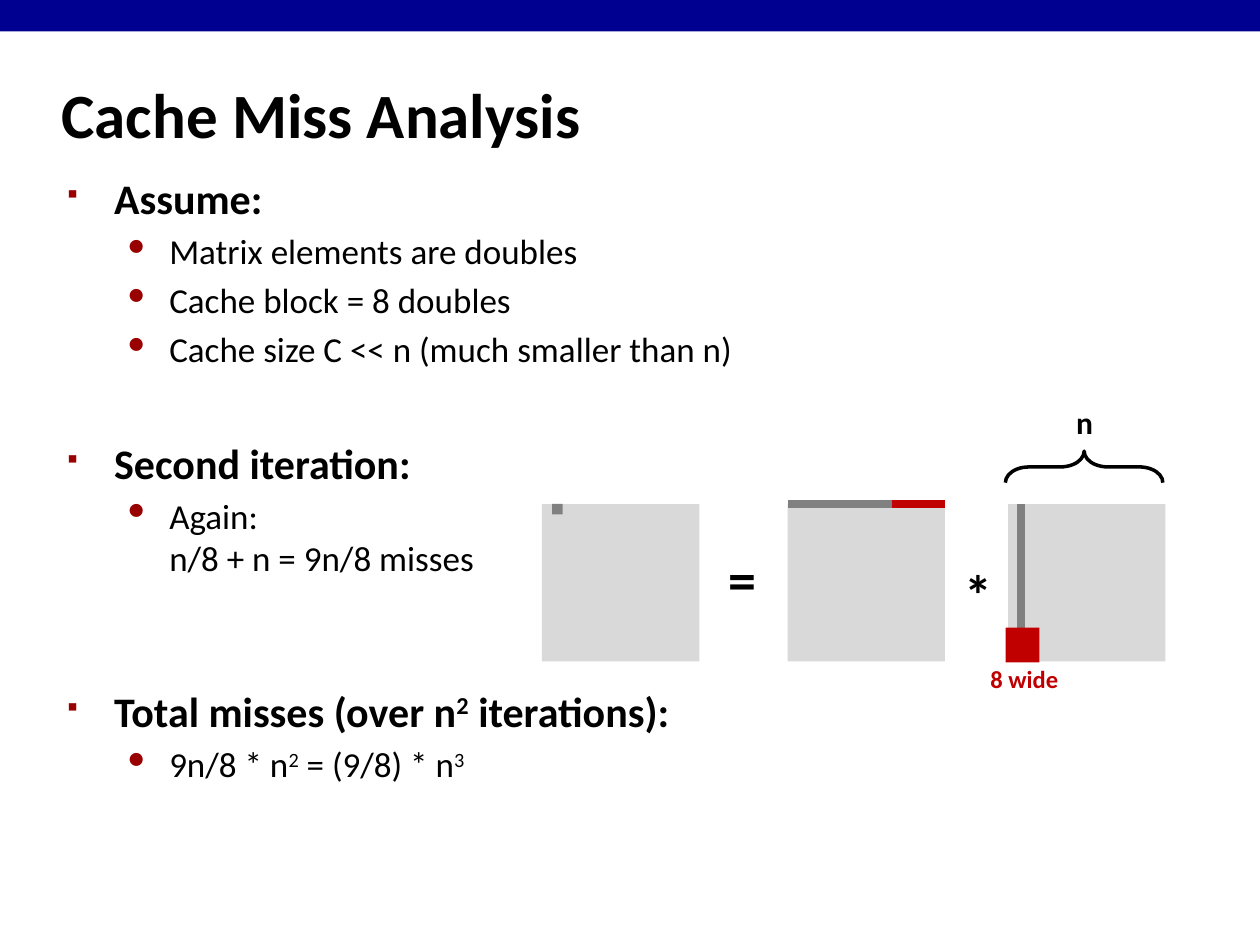
from dataclasses import dataclass

from lxml.etree import SubElement
from pptx import Presentation
from pptx.dml.color import RGBColor
from pptx.enum.shapes import MSO_CONNECTOR as Connector, MSO_SHAPE as Preset
from pptx.enum.text import MSO_ANCHOR as Anchor, MSO_AUTO_SIZE as AutoSize, PP_ALIGN as Align
from pptx.oxml.ns import qn
from pptx.util import Pt

BLACK = RGBColor(0x00, 0x00, 0x00)
NAVY = RGBColor(0x00, 0x00, 0x90)
BULLET_RED = RGBColor(0x99, 0x00, 0x00)
MISS_RED = RGBColor(0xC0, 0x00, 0x00)
HIT_GRAY = RGBColor(0x80, 0x80, 0x80)
MATRIX_GRAY = RGBColor(0xD9, 0xD9, 0xD9)
FONT = "Calibri"
MATRIX_SIZE = 90
MATRIX_TOP = 288


@dataclass(frozen=True)
class BulletStyle:
    size: float
    bold: bool
    margin: float
    indent: float
    symbol: str
    percent: int


@dataclass(frozen=True)
class Item:
    level: int
    text: str
    space_before: float


@dataclass(frozen=True)
class Block:
    left: float
    top: float
    width: float
    height: float
    color: RGBColor


@dataclass(frozen=True)
class Strip:
    start: tuple[float, float]
    end: tuple[float, float]
    color: RGBColor


@dataclass(frozen=True)
class Label:
    text: str
    left: float
    top: float
    width: float
    height: float
    size: float
    color: RGBColor = BLACK


STYLES = (
    BulletStyle(24, True, 27, -27, "■", 60),
    BulletStyle(20, False, 58.5, -22.5, "▪", 110),
)
ITEMS = (
    Item(0, "Assume:", 0),
    Item(1, "Matrix elements are doubles", 4),
    Item(1, "Cache block = 8 doubles", 4),
    Item(1, "Cache size C << n (much smaller than n)", 4),
    Item(0, "Second iteration:", 38.5),
    Item(1, "Again:\nn/8 + n = 9n/8 misses", 4),
    Item(0, "Total misses (over n^2^ iterations):", 61),
    Item(1, "9n/8 * n^2^ = (9/8) * n^3^", 4),
)
RESULT_LEFT, ROW_LEFT, COLUMN_LEFT = 309.6, 450, 576
MATRICES = tuple(
    Block(left, MATRIX_TOP, MATRIX_SIZE, MATRIX_SIZE, MATRIX_GRAY)
    for left in (RESULT_LEFT, ROW_LEFT, COLUMN_LEFT)
)
STRIPS = (
    Strip((ROW_LEFT, MATRIX_TOP), (ROW_LEFT + MATRIX_SIZE, MATRIX_TOP), HIT_GRAY),
    Strip((583.2, MATRIX_TOP), (583.2, MATRIX_TOP + MATRIX_SIZE), HIT_GRAY),
    Strip((510, MATRIX_TOP), (ROW_LEFT + MATRIX_SIZE, MATRIX_TOP), MISS_RED),
)
MARKS = (
    Block(315.5, MATRIX_TOP, 6, 6, HIT_GRAY),
    Block(574.6, 358.6, 19.4, 20, MISS_RED),
)
LABELS = (
    Label("n", 607.5, 229, 24.5, 28.8, 18),
    Label("*", 543.6, 320.4, 31, 46, 32),
    Label("=", 409, 311.8, 31, 46, 32),
    Label("8 wide", 558.7, 378, 53.3, 24.5, 14, MISS_RED),
)


def place(shape, left: float, top: float, width: float, height: float) -> None:
    shape.left, shape.top = Pt(left), Pt(top)
    shape.width, shape.height = Pt(width), Pt(height)


def set_font(paragraph, size: float, bold: bool, color: RGBColor = BLACK) -> None:
    font = paragraph.font
    font.name, font.size, font.bold = FONT, Pt(size), bold
    font.color.rgb = color


def set_bullet(paragraph, style: BulletStyle) -> None:
    properties = paragraph._p.get_or_add_pPr()
    properties.set("marL", str(Pt(style.margin)))
    properties.set("indent", str(Pt(style.indent)))
    color = SubElement(properties, qn("a:buClr"))
    SubElement(color, qn("a:srgbClr"), val=str(BULLET_RED))
    SubElement(properties, qn("a:buSzPct"), val=str(style.percent * 1000))
    SubElement(properties, qn("a:buFont"), typeface="Wingdings 2")
    SubElement(properties, qn("a:buChar"), char=style.symbol)


def add_item(paragraph, item: Item) -> None:
    style = STYLES[item.level]
    paragraph.level = item.level
    paragraph.space_before = Pt(item.space_before)
    set_bullet(paragraph, style)
    set_font(paragraph, style.size, style.bold)
    for line_number, line in enumerate(item.text.split("\n")):
        if line_number:
            paragraph.add_line_break()
        for part_number, part in enumerate(line.split("^")):
            if part:
                run = paragraph.add_run()
                run.text = part
                if part_number % 2:
                    run._r.get_or_add_rPr().set("baseline", "30000")


def add_block(slide, block: Block) -> None:
    shape = slide.shapes.add_shape(
        Preset.RECTANGLE, Pt(block.left), Pt(block.top), Pt(block.width), Pt(block.height)
    )
    shape.shadow.inherit = False
    shape.fill.solid()
    shape.fill.fore_color.rgb = block.color
    shape.line.fill.background()


def add_strip(slide, strip: Strip) -> None:
    ends = [Pt(value) for value in strip.start + strip.end]
    connector = slide.shapes.add_connector(Connector.STRAIGHT, *ends)
    connector.line.color.rgb = strip.color
    connector.line.width = Pt(4.5)
    SubElement(connector._element.spPr, qn("a:effectLst"))


def add_label(slide, label: Label) -> None:
    box = slide.shapes.add_textbox(
        Pt(label.left), Pt(label.top), Pt(label.width), Pt(label.height)
    )
    frame = box.text_frame
    frame.word_wrap = False
    paragraph = frame.paragraphs[0]
    paragraph.text = label.text
    paragraph.alignment = Align.CENTER
    paragraph.line_spacing = 0.9
    set_font(paragraph, label.size, True, label.color)


def add_brace(slide) -> None:
    brace = slide.shapes.add_shape(Preset.LEFT_BRACE, Pt(610.5), Pt(221.8), Pt(18), Pt(90))
    brace.rotation = 90
    brace.adjustments[0], brace.adjustments[1] = 0.75, 0.5
    brace.shadow.inherit = False
    brace.fill.background()
    brace.line.color.rgb = BLACK
    brace.line.width = Pt(2)


presentation = Presentation()
presentation.slide_width, presentation.slide_height = Pt(720), Pt(540)
slide = presentation.slides.add_slide(presentation.slide_layouts[1])
add_block(slide, Block(0, 0, 720, 18, NAVY))

title = slide.shapes.title
place(title, 28, 34.6, 597.6, 59.8)
title.text_frame.text = "Cache Miss Analysis"
title.text_frame.vertical_anchor = Anchor.MIDDLE
title.text_frame.auto_size = AutoSize.NONE
title.text_frame.paragraphs[0].alignment = Align.LEFT
set_font(title.text_frame.paragraphs[0], 36, True)

body = slide.placeholders[1]
place(body, 31, 95, 622, 380)
body.text_frame.auto_size = AutoSize.NONE
for number, item in enumerate(ITEMS):
    frame = body.text_frame
    add_item(frame.add_paragraph() if number else frame.paragraphs[0], item)

add_brace(slide)
for block in MATRICES:
    add_block(slide, block)
for strip in STRIPS:
    add_strip(slide, strip)
for block in MARKS:
    add_block(slide, block)
for label in LABELS:
    add_label(slide, label)

presentation.save("out.pptx")
